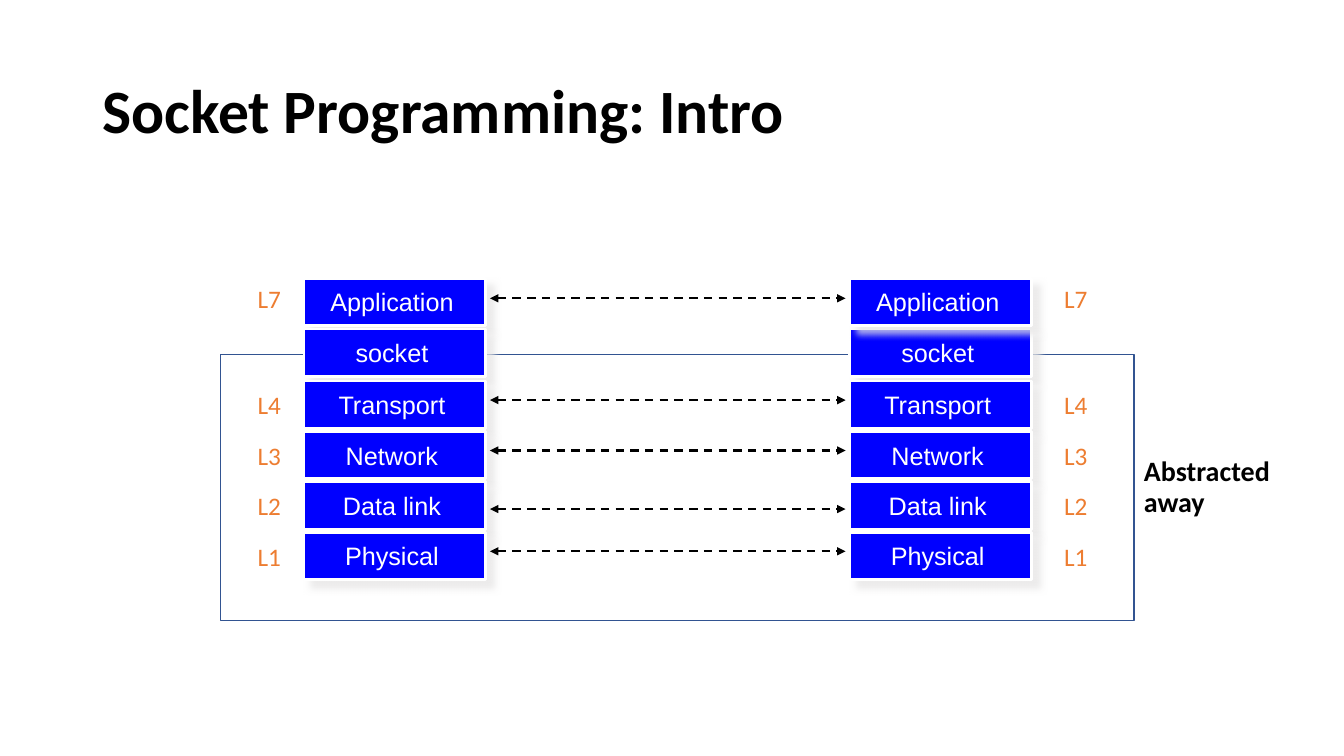
from dataclasses import dataclass

from lxml import etree
from pptx import Presentation
from pptx.dml.color import RGBColor
from pptx.enum.dml import MSO_LINE
from pptx.enum.shapes import MSO_CONNECTOR, MSO_SHAPE
from pptx.enum.text import MSO_ANCHOR, MSO_AUTO_SIZE, PP_ALIGN
from pptx.oxml.ns import qn
from pptx.shapes.autoshape import Shape
from pptx.slide import Slide
from pptx.text.text import TextFrame
from pptx.util import Pt

RECTANGLE = MSO_SHAPE.RECTANGLE
STRAIGHT = MSO_CONNECTOR.STRAIGHT
DASH = MSO_LINE.DASH
TOP, MIDDLE = MSO_ANCHOR.TOP, MSO_ANCHOR.MIDDLE
LEFT, CENTER = PP_ALIGN.LEFT, PP_ALIGN.CENTER
GROW = MSO_AUTO_SIZE.SHAPE_TO_FIT_TEXT


@dataclass(frozen=True)
class Theme:
    block: RGBColor = RGBColor(0x00, 0x00, 0xFF)
    white: RGBColor = RGBColor(0xFF, 0xFF, 0xFF)
    black: RGBColor = RGBColor(0x00, 0x00, 0x00)
    tag: RGBColor = RGBColor(0xED, 0x7D, 0x31)
    frame: RGBColor = RGBColor(0x32, 0x54, 0x91)
    shadow: str = "E7E6E6"
    block_font: str = "Arial"
    text_font: str = "Calibri"
    title_size: float = 44
    note_size: float = 20
    label_size: float = 18


@dataclass(frozen=True)
class Box:
    left: float
    top: float
    width: float
    height: float


@dataclass(frozen=True)
class Layer:
    name: str
    top: float
    caption_width: float
    tag: str = ""
    tag_top: float = 0
    arrow_y: float = 0


THEME = Theme()

# Geometry of the two protocol stacks
LEFT_STACK, RIGHT_STACK = 217.2, 607
LEFT_TAGS, RIGHT_TAGS = 177, 753
BLOCK_WIDTH, BLOCK_HEIGHT = 129.6, 33.8
CAPTION_HEIGHT = 28
TAG_WIDTH, TAG_HEIGHT = 36, 28.8
ARROW_START, ARROW_END = 350, 604
FIRST_LOWER_TOP, PITCH = 272.2, 36

APPLICATION = Layer("Application", 198.7, 121.7, "L7", 198.7, 213.1)
SOCKET = Layer("socket", 235, 64)
LOWER_LAYERS = [
    Layer(name, FIRST_LOWER_TOP + PITCH * row, width, f"L{4 - row}",
          FIRST_LOWER_TOP + PITCH * row + 2.6, arrow_y)
    for row, (name, width, arrow_y) in enumerate([
        ("Transport", 104.4, 285.8),
        ("Network", 91.4, 321.8),
        ("Data link", 95.8, 363.6),
        ("Physical", 93.6, 393.8),
    ])
]
TAGGED_LAYERS = [APPLICATION, *LOWER_LAYERS]


def write(frame: TextFrame, text: str, font: str, size: float, color: RGBColor,
          anchor: MSO_ANCHOR = MIDDLE, align: PP_ALIGN = LEFT,
          bold: bool = False, spacing: float = 1.0) -> None:
    frame.vertical_anchor = anchor
    para = frame.paragraphs[0]
    para.alignment = align
    para.line_spacing = spacing
    span = para.add_run()
    span.text = text
    span.font.name = font
    span.font.size = Pt(size)
    span.font.bold = bold
    span.font.color.rgb = color


def add_rectangle(shapes, box: Box, fill: RGBColor | None = None,
                  line: RGBColor | None = None, line_width: float = 1) -> Shape:
    shape = shapes.add_shape(RECTANGLE, Pt(box.left), Pt(box.top), Pt(box.width), Pt(box.height))
    shape.shadow.inherit = False
    if fill is None:
        shape.fill.background()
    else:
        shape.fill.solid()
        shape.fill.fore_color.rgb = fill
    if line is None:
        shape.line.fill.background()
    else:
        shape.line.color.rgb = line
        shape.line.width = Pt(line_width)
    return shape


def add_shadow(shape: Shape) -> None:
    effects = shape._element.spPr.find(qn("a:effectLst"))
    shadow = etree.SubElement(effects, qn("a:outerShdw"), blurRad=str(Pt(5)), dist=str(Pt(8)),
                              dir=str(45 * 60000), algn="ctr", rotWithShape="0")
    color = etree.SubElement(shadow, qn("a:srgbClr"), val=THEME.shadow)
    etree.SubElement(color, qn("a:alpha"), val="75000")


def add_block(page: Slide, left: float, layer: Layer) -> None:
    group = page.shapes.add_group_shape()
    panel = add_rectangle(group.shapes, Box(left, layer.top, BLOCK_WIDTH, BLOCK_HEIGHT),
                          THEME.block, THEME.white, 2)
    add_shadow(panel)
    caption = add_rectangle(group.shapes, Box(left + (BLOCK_WIDTH - layer.caption_width) / 2,
                                              layer.top + (BLOCK_HEIGHT - CAPTION_HEIGHT) / 2,
                                              layer.caption_width, CAPTION_HEIGHT), THEME.block)
    frame = caption.text_frame
    frame.word_wrap = False
    frame.auto_size = GROW
    frame.margin_left = frame.margin_top = frame.margin_bottom = Pt(3)
    frame.margin_right = Pt(7)
    write(frame, layer.name, THEME.block_font, THEME.label_size, THEME.white, align=CENTER)


def add_tag(page: Slide, left: float, layer: Layer) -> None:
    tag = add_rectangle(page.shapes, Box(left, layer.tag_top, TAG_WIDTH, TAG_HEIGHT), THEME.white)
    tag.text_frame.word_wrap = False
    tag.text_frame.auto_size = GROW
    write(tag.text_frame, layer.tag, THEME.text_font, THEME.label_size, THEME.tag, TOP)


def add_arrow(page: Slide, y: float) -> None:
    arrow = page.shapes.add_connector(STRAIGHT, Pt(ARROW_START), Pt(y), Pt(ARROW_END), Pt(y))
    arrow.line.color.rgb = THEME.black
    arrow.line.width = Pt(1.5)
    arrow.line.dash_style = DASH
    properties = arrow._element.spPr
    outline = properties.find(qn("a:ln"))
    for end in ("a:headEnd", "a:tailEnd"):
        etree.SubElement(outline, qn(end), type="triangle")
    etree.SubElement(properties, qn("a:effectLst"))


def add_heading(page: Slide, box: Box, text: str, size: float) -> None:
    heading = page.shapes.add_textbox(Pt(box.left), Pt(box.top), Pt(box.width), Pt(box.height))
    heading.text_frame.word_wrap = True
    write(heading.text_frame, text, THEME.text_font, size, THEME.black, bold=True, spacing=0.9)


def main() -> None:
    deck = Presentation()
    deck.slide_width, deck.slide_height = Pt(960), Pt(540)
    page = deck.slides.add_slide(deck.slide_layouts[6])

    # Frame around the abstracted layers
    add_rectangle(page.shapes, Box(157.7, 253.4, 652.3, 190.1), line=THEME.frame)

    # Left stack; the right socket lies beneath its neighbours
    add_block(page, RIGHT_STACK, SOCKET)
    for layer in [APPLICATION, SOCKET, *LOWER_LAYERS]:
        add_block(page, LEFT_STACK, layer)

    # Arrows, right stack and level tags
    for layer in TAGGED_LAYERS:
        add_tag(page, LEFT_TAGS, layer)
        add_arrow(page, layer.arrow_y)
        add_block(page, RIGHT_STACK, layer)
        add_tag(page, RIGHT_TAGS, layer)

    # Title and side note
    add_heading(page, Box(66, 28.8, 828, 104.4), "Socket Programming: Intro", THEME.title_size)
    add_heading(page, Box(810, 320.4, 149.8, 56.2), "Abstracted away", THEME.note_size)

    deck.save("out.pptx")


if __name__ == "__main__":
    main()
